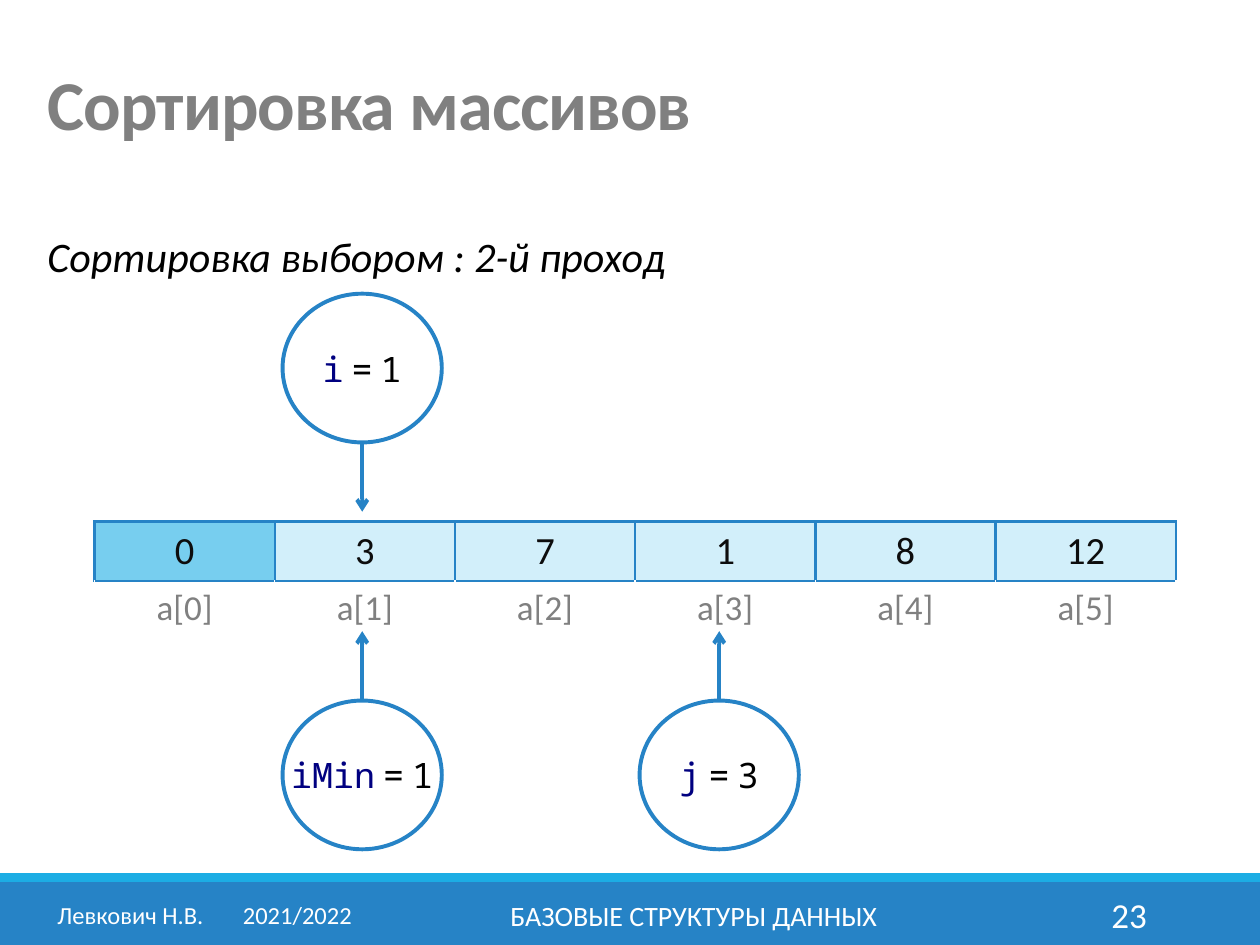
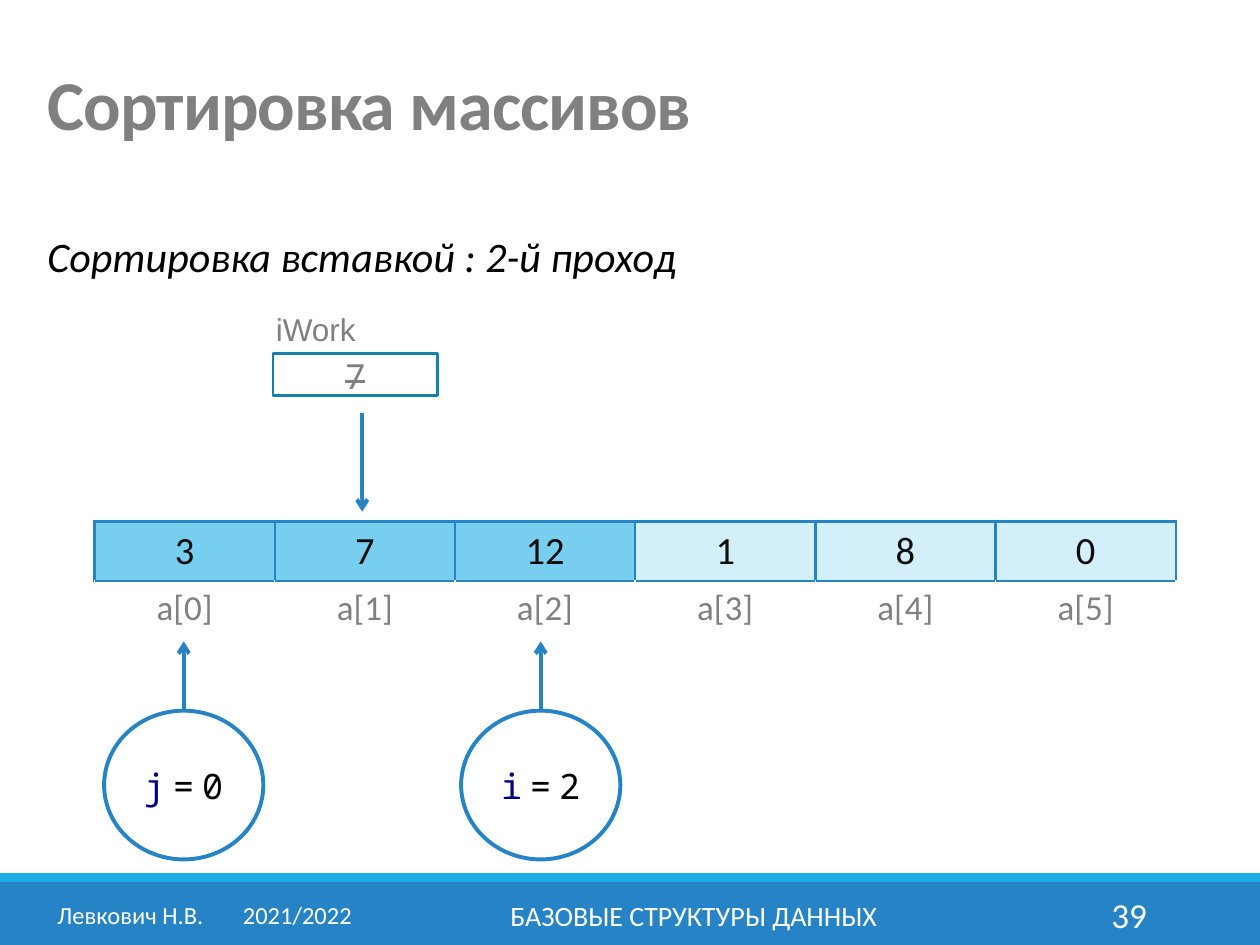
from typing import NamedTuple

from lxml.etree import SubElement
from pptx import Presentation
from pptx.dml.color import RGBColor
from pptx.enum.shapes import MSO_CONNECTOR, MSO_SHAPE
from pptx.enum.text import MSO_ANCHOR, PP_ALIGN
from pptx.oxml.ns import qn
from pptx.util import Pt

HUES = {
    "blue": "2683C6", "sky": "1CADE4", "edge": "1580A9",
    "done": "77CEEF", "open": "D2EFFA", "white": "FFFFFF",
    "grey": "808080", "black": "000000", "ink": "0D0D0D", "navy": "000080",
}
SANS, MONO = "Calibri", "Noto Sans Mono"
LEFT, MID, RIGHT = PP_ALIGN.LEFT, PP_ALIGN.CENTER, PP_ALIGN.RIGHT

# Array grid and pointer sizes, in points
GRID_X, GRID_Y, CELL_W = 54, 298, 103
ROW_H = (34, 31)
AIM_X, STEP = 105, 102
RING_W, RING_H, STEM = 91, 85, 39.6


class Box(NamedTuple):
    x: float
    y: float
    w: float
    h: float


class Run(NamedTuple):
    text: str
    size: float
    hue: str
    font: str = SANS
    bold: bool = False
    slant: bool = False


class Mark(NamedTuple):
    """A ringed index variable with an arrow to its array cell."""
    name: str
    value: int
    cell: int
    top: float
    down: bool = False


class Page(NamedTuple):
    number: int
    topic: str
    data: tuple[int, ...]
    done: int
    marks: tuple[Mark, ...]
    work: str = ""


PAGES = (
    Page(23, "Сортировка выбором : 2-й проход", (0, 3, 7, 1, 8, 12), 1,
         (Mark("i", 1, 1, 167.8, True), Mark("iMin", 1, 1, 400.3),
          Mark("j", 3, 3, 400.3))),
    Page(39, "Сортировка вставкой : 2-й проход", (3, 7, 12, 1, 8, 0), 3,
         (Mark("i", 2, 2, 406.1), Mark("j", 0, 0, 406.1)), "7"),
)


def color(name: str) -> RGBColor:
    return RGBColor.from_string(HUES[name])


def write(para, runs: list[Run], align=LEFT) -> None:
    para.alignment = align
    for item in runs:
        run = para.add_run()
        run.text = item.text
        font = run.font
        font.name, font.size = item.font, Pt(item.size)
        font.bold, font.italic = item.bold, item.slant
        font.color.rgb = color(item.hue)


def label(slide, box: Box, run: Run, align=LEFT, anchor=MSO_ANCHOR.MIDDLE):
    frame = slide.shapes.add_textbox(*map(Pt, box)).text_frame
    frame.word_wrap = True
    frame.vertical_anchor = anchor
    write(frame.paragraphs[0], [run], align)
    return frame.paragraphs[0]


def shape(slide, kind, box: Box, fill: str = "", line: str = "",
          width: float = 1):
    item = slide.shapes.add_shape(kind, *map(Pt, box))
    item.shadow.inherit = False
    if fill:
        item.fill.solid()
        item.fill.fore_color.rgb = color(fill)
    else:
        item.fill.background()
    if line:
        item.line.color.rgb = color(line)
        item.line.width = Pt(width)
    else:
        item.line.fill.background()
    item.text_frame.vertical_anchor = MSO_ANCHOR.MIDDLE
    return item


def arrow(slide, x: float, start: float, end: float) -> None:
    item = slide.shapes.add_connector(
        MSO_CONNECTOR.STRAIGHT, Pt(x), Pt(start), Pt(x), Pt(end))
    item.line.color.rgb = color("blue")
    item.line.width = Pt(2.25)
    SubElement(item.line._get_or_add_ln(), qn("a:tailEnd"), type="arrow")
    SubElement(item._element.spPr, qn("a:effectLst"))


def pointer(slide, mark: Mark) -> None:
    x = AIM_X + STEP * mark.cell
    if mark.down:
        foot = mark.top + RING_H
        arrow(slide, x, foot, foot + STEM)
    else:
        arrow(slide, x, mark.top, mark.top - STEM)
    ring = shape(slide, MSO_SHAPE.OVAL,
                 Box(x - RING_W / 2, mark.top, RING_W, RING_H),
                 line="blue", width=2.25)
    frame = ring.text_frame
    frame.word_wrap = False
    frame.margin_left = frame.margin_right = 0
    gap = Run(" ", 20, "black")
    write(frame.paragraphs[0],
          [Run(mark.name, 20, "navy", MONO), gap, Run("=", 20, "black", MONO),
           gap, Run(str(mark.value), 20, "black", MONO)], MID)


def border(cell, side: str, hue: str, width: float) -> None:
    line = SubElement(cell._tc.get_or_add_tcPr(), qn(f"a:ln{side}"),
                      w=str(Pt(width)))
    fill = SubElement(line, qn("a:solidFill"))
    SubElement(fill, qn("a:srgbClr"), val=HUES[hue])


def paint(cell, run: Run, fill: str, rim: str, width: float) -> None:
    for side in "LRTB":
        top = side == "T"
        border(cell, side, "blue" if top else rim, 1.5 if top else width)
    cell.fill.solid()
    cell.fill.fore_color.rgb = color(fill)
    write(cell.text_frame.paragraphs[0], [run], MID)


def array(slide, data: tuple[int, ...], done: int) -> None:
    count = len(data)
    table = slide.shapes.add_table(
        2, count, Pt(GRID_X), Pt(GRID_Y), Pt(CELL_W * count),
        Pt(sum(ROW_H))).table
    table.first_row = table.horz_banding = False
    for row, high in zip(table.rows, ROW_H):
        row.height = Pt(high)
    for col, value in enumerate(data):
        table.columns[col].width = Pt(CELL_W)
        paint(table.cell(0, col), Run(str(value), 22, "ink"),
              "done" if col < done else "open", "blue", 1.5)
        name = table.cell(1, col)
        name.vertical_anchor = MSO_ANCHOR.MIDDLE
        paint(name, Run(f"a[{col}]", 20, "grey"), "white", "white", 1)


def store(slide, text: str) -> None:
    """Draw the work variable, its struck-out value and its target."""
    box = shape(slide, MSO_SHAPE.RECTANGLE, Box(156, 202, 94, 24),
                line="edge", width=1.5)
    para = box.text_frame.paragraphs[0]
    write(para, [Run(text, 22, "grey")], MID)
    para.runs[0].font._element.set("strike", "sngStrike")
    label(slide, Box(150.5, 173.5, 63, 29), Run("iWork", 18, "grey", "Arial"),
          anchor=MSO_ANCHOR.TOP)
    arrow(slide, AIM_X + STEP, 236, 292.4)


def base(slide, number: int) -> None:
    # Footer bands
    shape(slide, MSO_SHAPE.RECTANGLE, Box(0, 504, 720, 36), "blue")
    shape(slide, MSO_SHAPE.RECTANGLE, Box(0, 499, 720, 5), "sky")
    # Footer text
    label(slide, Box(217.5, 508.3, 358, 29),
          Run("БАЗОВЫЕ СТРУКТУРЫ ДАННЫХ", 16, "white"), MID)
    label(slide, Box(584.5, 508.3, 78, 29), Run(str(number), 20, "white"),
          RIGHT)
    foot = label(slide, Box(23, 508.3, 188, 29),
                 Run("Левкович Н.В.\t2021/2022", 14, "white"), MID)
    tabs = SubElement(foot._p.get_or_add_pPr(), qn("a:tabLst"))
    SubElement(tabs, qn("a:tab"), pos=str(Pt(106)), algn="l")
    # Title
    title = label(slide, Box(20, 21, 680, 83),
                  Run("Сортировка массивов", 40, "grey", bold=True))
    title.line_spacing = 0.85
    title.runs[0].font._element.set("spc", "-50")


def main() -> None:
    deck = Presentation()
    deck.slide_width, deck.slide_height = Pt(720), Pt(540)
    for page in PAGES:
        slide = deck.slides.add_slide(deck.slide_layouts[6])
        base(slide, page.number)
        label(slide, Box(20, 128, 663, 36),
              Run(page.topic, 24, "black", slant=True), anchor=MSO_ANCHOR.TOP)
        array(slide, page.data, page.done)
        if page.work:
            store(slide, page.work)
        for mark in page.marks:
            pointer(slide, mark)
    deck.save("out.pptx")


if __name__ == "__main__":
    main()
